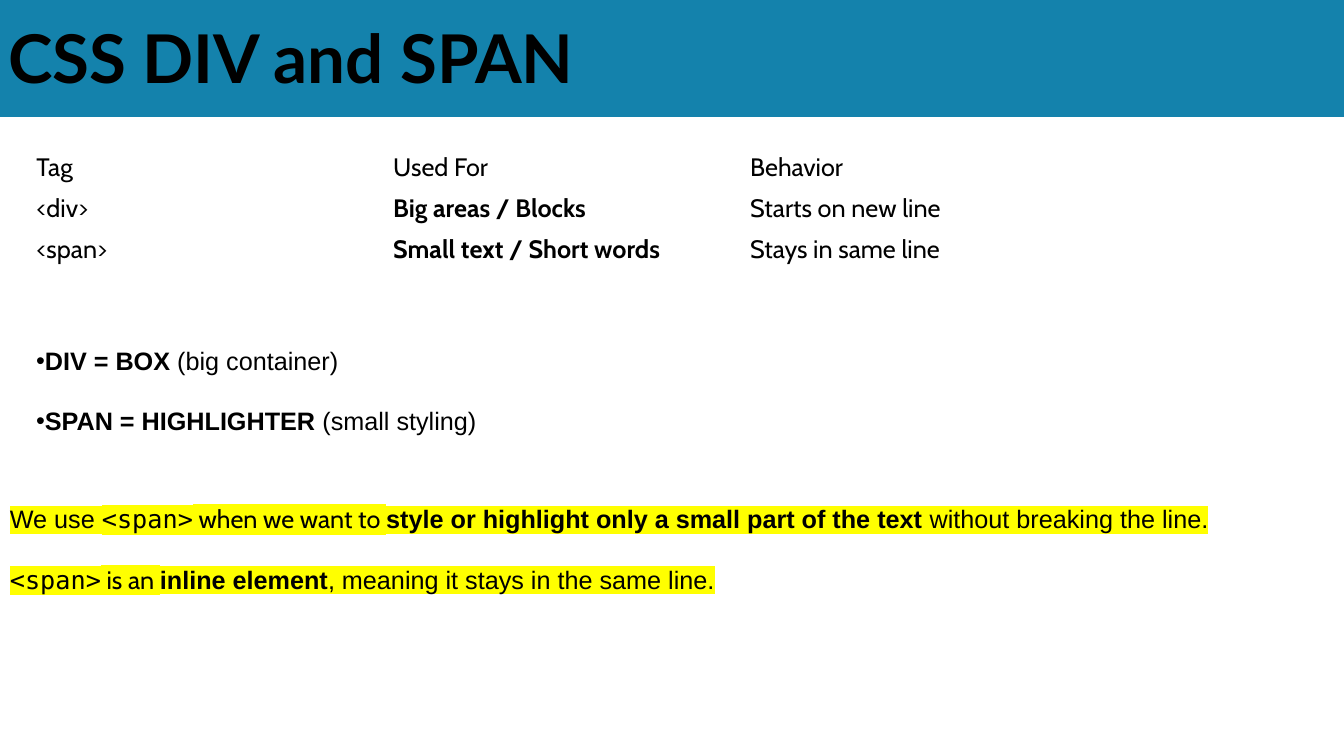
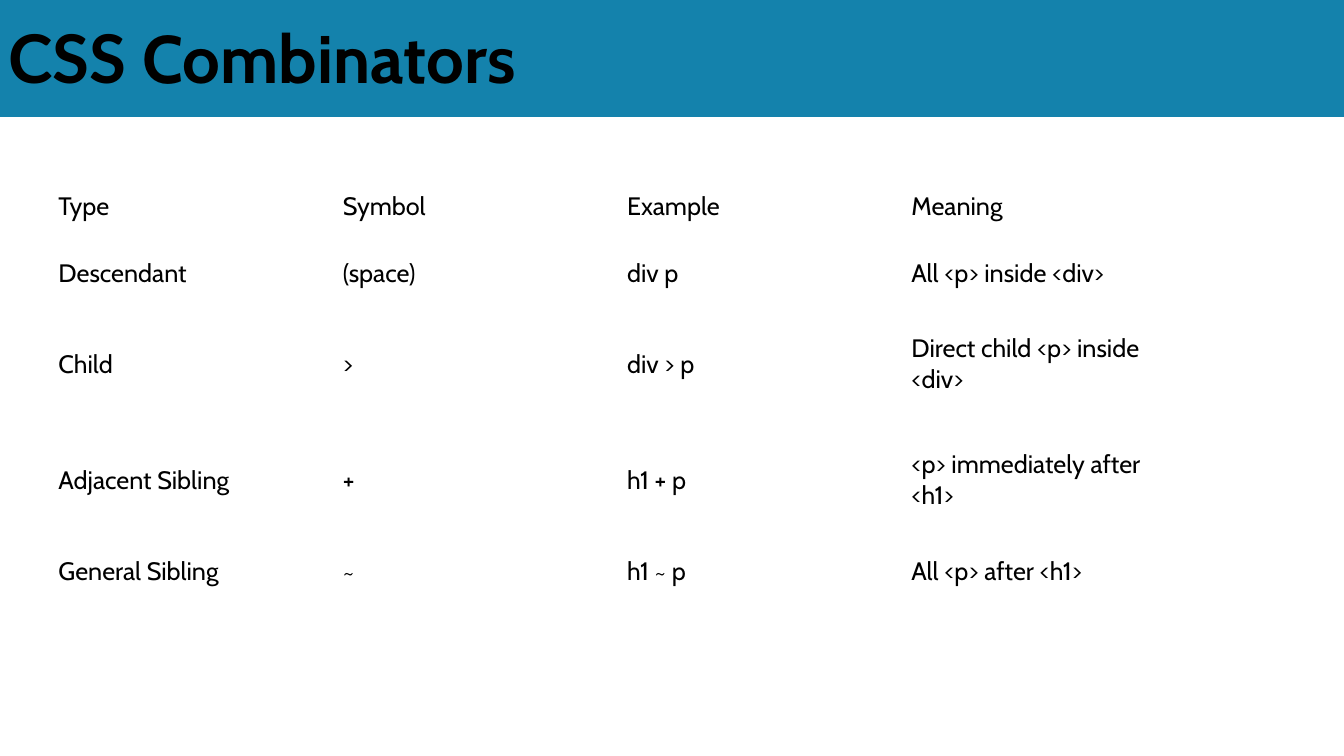
from dataclasses import dataclass

from lxml.etree import SubElement
from pptx import Presentation
from pptx.dml.color import RGBColor as Rgb
from pptx.enum.shapes import MSO_SHAPE as Shape
from pptx.enum.text import MSO_ANCHOR as Anchor, PP_ALIGN as Align
from pptx.oxml import parse_xml
from pptx.oxml.ns import nsdecls, qn
from pptx.util import Emu, Pt

SLIDE_WIDTH, SLIDE_HEIGHT = 1333, 750
EMU_PER_PX = 9144


@dataclass(frozen=True)
class Theme:
    band: str = "1482AC"
    ink: str = "000000"
    marker: str = "FFFF00"
    title_font: str = "Lato"
    table_font: str = "Cabin"
    body_font: str = "Arial"
    code_font: str = "DejaVu Sans Mono"
    title_size: int = 48
    body_size: int = 18
    paragraph_gap: float = 21.5


THEME = Theme()


@dataclass(frozen=True)
class Words:
    text: str
    font: str = THEME.body_font
    bold: bool = False


def px(length):
    return Emu(length * EMU_PER_PX)


class Deck:
    def __init__(self, theme):
        self.theme = theme
        self.presentation = Presentation()
        self.presentation.slide_width = px(SLIDE_WIDTH)
        self.presentation.slide_height = px(SLIDE_HEIGHT)
        self.slide = None

    def start_slide(self, *title):
        blank = self.presentation.slide_layouts[6]
        self.slide = self.presentation.slides.add_slide(blank)
        band = self.slide.shapes.add_shape(
            Shape.RECTANGLE, px(0), px(-3), px(SLIDE_WIDTH), px(119))
        band.shadow.inherit = False
        band.fill.solid()
        band.fill.fore_color.rgb = Rgb.from_string(self.theme.band)
        band.line.fill.background()
        frame = band.text_frame
        frame.word_wrap = True
        frame.vertical_anchor = Anchor.MIDDLE
        frame.margin_left = frame.margin_right = px(8)
        frame.margin_top = frame.margin_bottom = px(4)
        self.add_words(frame.paragraphs[0], title, self.theme.title_size)

    def add_words(self, paragraph, words, size, marked=False):
        paragraph.alignment = Align.LEFT
        for part in words:
            run = paragraph.add_run()
            run.text = part.text
            run.font.name = part.font
            run.font.size = Pt(size)
            run.font.bold = part.bold
            run.font.color.rgb = Rgb.from_string(self.theme.ink)
            if marked:
                ink = run._r.rPr.find(qn("a:solidFill"))
                ink.addnext(parse_xml(
                    f'<a:highlight {nsdecls("a")}>'
                    f'<a:srgbClr val="{self.theme.marker}"/></a:highlight>'))

    def table(self, left, top, column_width, row_heights, rows):
        columns = len(rows[0])
        grid = self.slide.shapes.add_table(
            len(rows), columns, px(left), px(top),
            px(column_width * columns), px(sum(row_heights))).table
        grid.first_row = grid.horz_banding = False
        for column in grid.columns:
            column.width = px(column_width)
        for row, height, entries in zip(grid.rows, row_heights, rows):
            row.height = px(height)
            for cell, entry in zip(row.cells, entries):
                if isinstance(entry, str):
                    entry = Words(entry, self.theme.table_font)
                cell.fill.background()
                cell.vertical_anchor = Anchor.MIDDLE
                self.add_words(cell.text_frame.paragraphs[0], [entry],
                               self.theme.body_size)

    def text(self, left, top, width, height, lines, bullets=False, marked=False):
        frame = self.slide.shapes.add_textbox(
            px(left), px(top), px(width), px(height)).text_frame
        frame.word_wrap = True
        frame.vertical_anchor = Anchor.MIDDLE
        for index, words in enumerate(lines):
            paragraph = frame.add_paragraph() if index else frame.paragraphs[0]
            if index:
                paragraph.space_before = Pt(self.theme.paragraph_gap)
            self.add_words(paragraph, words, self.theme.body_size, marked)
            if bullets:
                properties = paragraph._p.get_or_add_pPr()
                SubElement(properties, qn("a:buFont"),
                           typeface=self.theme.body_font)
                SubElement(properties, qn("a:buChar"), char="•")


def build_div_and_span(deck):
    theme = deck.theme

    def strong(text, font=theme.body_font):
        return Words(text, font, True)

    span_tag = Words("<span>", theme.code_font)
    deck.start_slide(strong("CSS DIV and SPAN", theme.title_font))
    deck.table(26, 146, 354, [40] * 3, [
        ["Tag", "Used For", "Behavior"],
        ["<div>", strong("Big areas / Blocks", theme.table_font),
         "Starts on new line"],
        ["<span>", strong("Small text / Short words", theme.table_font),
         "Stays in same line"],
    ])
    deck.text(26, 337, 461, 101, [
        [strong("DIV = BOX"), Words(" (big container)")],
        [strong("SPAN = HIGHLIGHTER"), Words(" (small styling)")],
    ], bullets=True)
    deck.text(0, 494, 1230, 101, [
        [Words("We use "), span_tag,
         Words(" when we want to ", theme.table_font),
         strong("style or highlight only a small part of the text"),
         Words(" without breaking the line.")],
        [span_tag, Words(" is an ", theme.table_font),
         strong("inline element"),
         Words(", meaning it stays in the same line.")],
    ], marked=True)


def build_combinators(deck):
    theme = deck.theme
    deck.start_slide(Words("CSS ", theme.title_font, True),
                     Words("Combinators", theme.table_font, True))
    deck.table(48, 172, 282, [66, 66, 115, 115, 66], [
        ["Type", "Symbol", "Example", "Meaning"],
        ["Descendant", "(space)", "div p", "All <p> inside <div>"],
        ["Child", ">", "div > p", "Direct child <p> inside <div>"],
        ["Adjacent Sibling", "+", "h1 + p", "<p> immediately after <h1>"],
        ["General Sibling", "~", "h1 ~ p", "All <p> after <h1>"],
    ])


def main():
    deck = Deck(THEME)
    build_div_and_span(deck)
    build_combinators(deck)
    deck.presentation.save("out.pptx")


if __name__ == "__main__":
    main()
